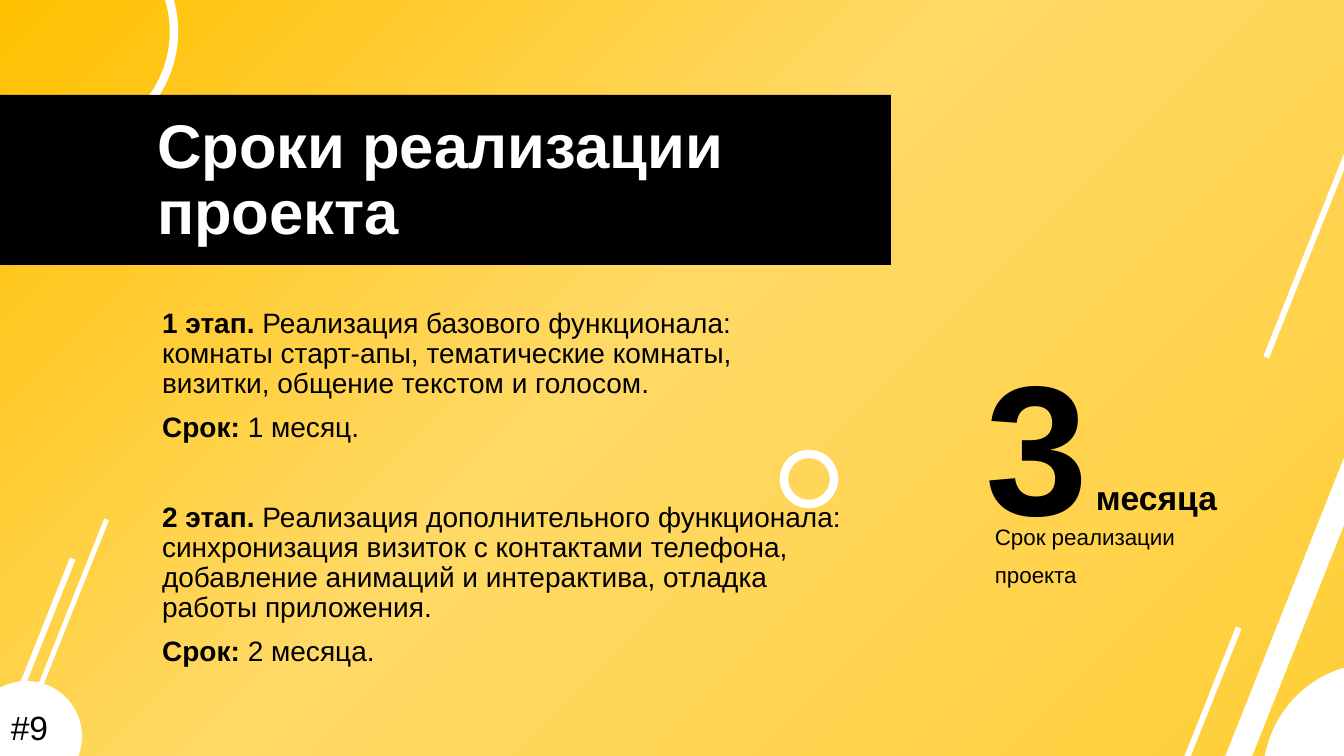
"""Builds the project timeline slide: two stages on the left, total duration on the right."""
from dataclasses import dataclass

from lxml import etree
from pptx import Presentation
from pptx.dml.color import RGBColor
from pptx.enum.shapes import MSO_SHAPE
from pptx.enum.text import MSO_ANCHOR, MSO_AUTO_SIZE, PP_ALIGN
from pptx.oxml.ns import qn
from pptx.util import Pt

RECT, OVAL = MSO_SHAPE.RECTANGLE, MSO_SHAPE.OVAL
TOP, MIDDLE = MSO_ANCHOR.TOP, MSO_ANCHOR.MIDDLE
LEFT, CENTER = PP_ALIGN.LEFT, PP_ALIGN.CENTER
NO_FIT = MSO_AUTO_SIZE.NONE


@dataclass(frozen=True)
class Theme:
    font: str = "Arial"
    white: str = "FFFFFF"
    black: str = "000000"
    background: tuple = ((0, "FFCE38"), (54, "FFD966"), (100, "FFC000"))
    title: int = 44
    body: int = 20
    number: int = 132
    unit: int = 24
    caption: int = 16
    ring: int = 6
    line_spacing: float = 0.9
    gap: int = 10
    stage_gap: int = 42


THEME = Theme()
SLIDE_W, SLIDE_H = 1344, 756
EMU_PER_PX = 12192000 / SLIDE_W
TILT = 21.7

TITLE = [(0, [("Сроки реализации проекта", True)])]
STAGES = [
    ("1 этап. ", "Реализация базового функционала: комнаты старт-апы, тематические комнаты, "
                 "визитки, общение текстом и голосом.", "1 месяц."),
    ("2 этап. ", "Реализация дополнительного функционала: синхронизация визиток с контактами "
                 "телефона, добавление анимаций и интерактива, отладка работы приложения.",
     "2 месяца."),
]
CAPTION = [(0, [("Срок реализации", False)]), (THEME.gap, [("проекта", False)])]
NUMBER = [(0, [("3", True)])]
UNIT = [(0, [("месяца", True)])]
PAGE = [(0, [("#9", False)])]

TITLE_BOX = (147, 110, 744, 210)
STAGES_BOX = (152, 304, 700, 432)
LABELS = [
    ((985, 521, 449, 120), CAPTION, THEME.caption, LEFT, TOP),
    ((976, 351, 356, 120), NUMBER, THEME.number, LEFT, TOP),
    ((1086, 477, 356, 120), UNIT, THEME.unit, LEFT, TOP),
    ((-27, 684, 113, 91), PAGE, THEME.unit, CENTER, MIDDLE),
]
STRIPES = [(1334, -12, 6, 383), (1165, 614, 6, 383), (-70, 486, 5, 942),
           (1280, 150, 25, 942), (-1, 545, 6, 383)]
CORNER_RING, SMALL_RING = (-53, -82, 227, 227), (784, 454, 50, 50)
BANNER = (-1, 95, 892, 170)
DISCS = [(1263, 663, 227, 227), (-29, 681, 111, 111)]


def px(n):
    return round(n * EMU_PER_PX)


def set_attrs(obj, values):
    for name, value in values.items():
        setattr(obj, name, value)


def paint_background(s):
    fill = s.background.fill
    fill.gradient()
    grad = s.background._cSld.find(".//" + qn("a:gradFill"))
    for child in list(grad):
        grad.remove(child)
    stops = etree.SubElement(grad, qn("a:gsLst"))
    for pos, color in THEME.background:
        stop = etree.SubElement(stops, qn("a:gs"), pos=str(pos * 1000))
        etree.SubElement(stop, qn("a:srgbClr"), val=color)
    path = etree.SubElement(grad, qn("a:path"), path="circle")
    etree.SubElement(path, qn("a:fillToRect"), l="100000", t="100000")
    etree.SubElement(grad, qn("a:tileRect"), r="-100000", b="-100000")


def add_shape(s, kind, box, color=THEME.white, ring=False, rotation=0):
    sp = s.shapes.add_shape(kind, *map(px, box))
    sp.shadow.inherit = False
    sp.rotation = rotation
    if ring:
        sp.fill.background()
        sp.line.color.rgb = RGBColor.from_string(color)
        sp.line.width = Pt(THEME.ring)
    else:
        sp.fill.solid()
        sp.fill.fore_color.rgb = RGBColor.from_string(color)
        sp.line.fill.background()


def write(sp, paragraphs, size, color=THEME.black, align=LEFT, anchor=TOP):
    tf = sp.text_frame
    set_attrs(tf, {"word_wrap": True, "auto_size": NO_FIT, "vertical_anchor": anchor})
    for i, (before, runs) in enumerate(paragraphs):
        p = tf.add_paragraph() if i else tf.paragraphs[0]
        set_attrs(p, {"alignment": align, "line_spacing": THEME.line_spacing,
                      "space_before": Pt(before), "space_after": Pt(0)})
        pPr = p._p.get_or_add_pPr()
        pPr.set("marL", "0")
        pPr.set("indent", "0")
        etree.SubElement(pPr, qn("a:buNone"))
        for text, bold in runs:
            r = p.add_run()
            r.text = text
            set_attrs(r.font, {"name": THEME.font, "size": Pt(size), "bold": bold})
            r.font.color.rgb = RGBColor.from_string(color)


def place(s, ph, box):
    set_attrs(ph, dict(zip(("left", "top", "width", "height"), map(px, box))))
    s.shapes.element.append(ph.element)


def stage_paragraphs():
    paragraphs = []
    for name, work, term in STAGES:
        before = THEME.stage_gap if paragraphs else 0
        paragraphs.append((before, [(name, True), (work, False)]))
        paragraphs.append((THEME.gap, [("Срок: ", True), (term, False)]))
    return paragraphs


def main():
    prs = Presentation()
    prs.slide_width, prs.slide_height = px(SLIDE_W), px(SLIDE_H)
    s = prs.slides.add_slide(prs.slide_layouts[1])
    paint_background(s)
    for box in STRIPES:
        add_shape(s, RECT, box, rotation=TILT)
    add_shape(s, OVAL, CORNER_RING, ring=True)
    add_shape(s, RECT, BANNER, THEME.black)
    for box in DISCS:
        add_shape(s, OVAL, box)
    add_shape(s, OVAL, SMALL_RING, ring=True)

    title, body = s.shapes.title, s.placeholders[1]
    place(s, title, TITLE_BOX)
    write(title, TITLE, THEME.title, THEME.white)
    place(s, body, STAGES_BOX)
    write(body, stage_paragraphs(), THEME.body)
    for box, paragraphs, size, align, anchor in LABELS:
        sp = s.shapes.add_textbox(*map(px, box))
        write(sp, paragraphs, size, align=align, anchor=anchor)
    prs.save("out.pptx")


if __name__ == "__main__":
    main()
